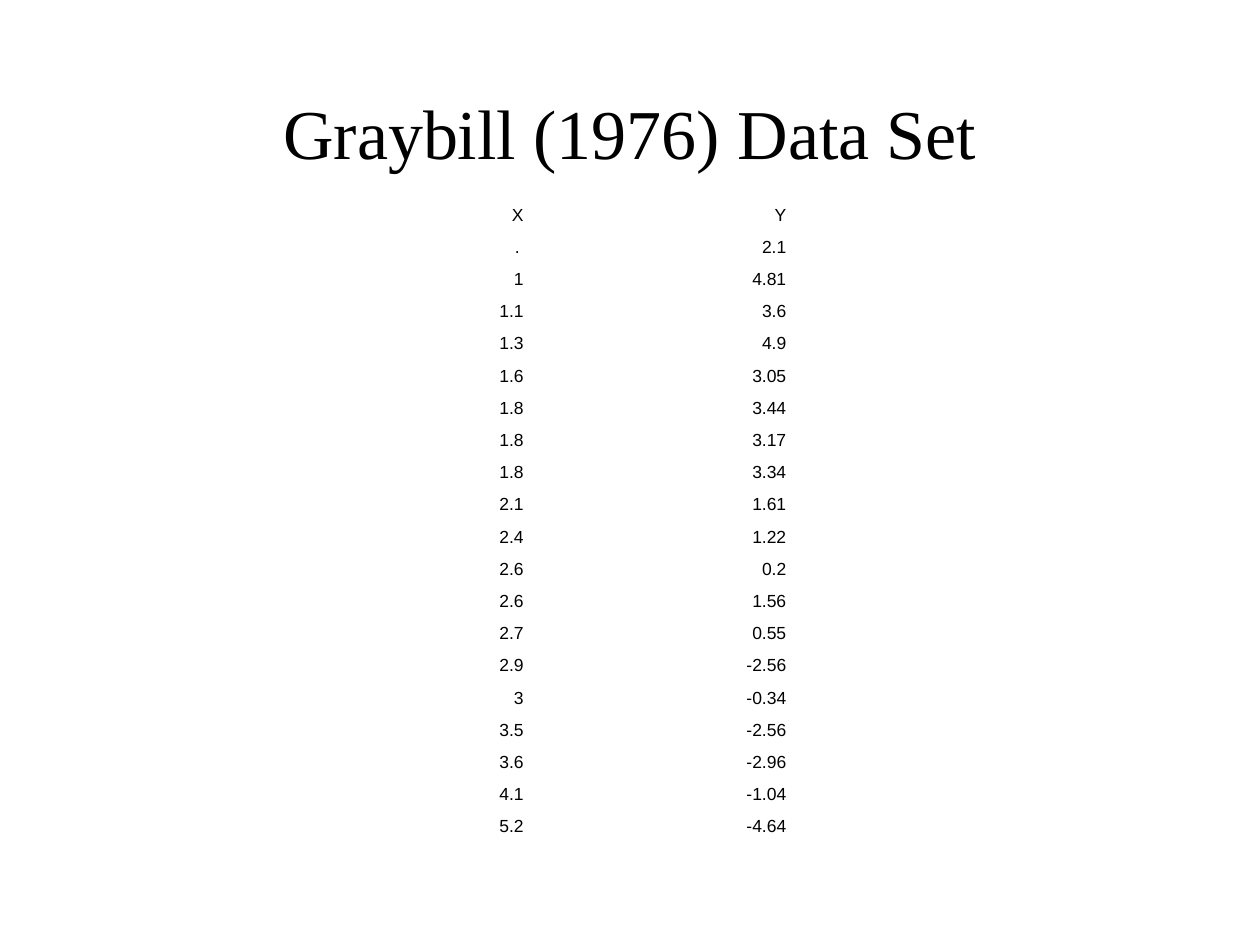
"""Build a slide with a title and the Graybill data table."""
from typing import NamedTuple

from pptx import Presentation
from pptx.dml.color import RGBColor
from pptx.enum.text import MSO_ANCHOR, PP_ALIGN
from pptx.util import Inches, Pt


class Style(NamedTuple):
    font: str
    size: int
    color: str
    align: PP_ALIGN
    anchor: MSO_ANCHOR


class Pair(NamedTuple):
    x: str
    y: str


HEAD = Style("Times New Roman", 40, "000000", PP_ALIGN.CENTER, MSO_ANCHOR.MIDDLE)
BODY = Style("Arial", 10, "000000", PP_ALIGN.RIGHT, MSO_ANCHOR.BOTTOM)
PAIRS = [
    Pair("X", "Y"),
    Pair(".", "2.1"),
    Pair("1", "4.81"),
    Pair("1.1", "3.6"),
    Pair("1.3", "4.9"),
    Pair("1.6", "3.05"),
    Pair("1.8", "3.44"),
    Pair("1.8", "3.17"),
    Pair("1.8", "3.34"),
    Pair("2.1", "1.61"),
    Pair("2.4", "1.22"),
    Pair("2.6", "0.2"),
    Pair("2.6", "1.56"),
    Pair("2.7", "0.55"),
    Pair("2.9", "-2.56"),
    Pair("3", "-0.34"),
    Pair("3.5", "-2.56"),
    Pair("3.6", "-2.96"),
    Pair("4.1", "-1.04"),
    Pair("5.2", "-4.64"),
]


def paint(font, color: str) -> None:
    font.color.rgb = RGBColor.from_string(color)


def write(frame, text: str, style: Style) -> None:
    para = frame.paragraphs[0]
    para.alignment = style.align
    run = para.add_run()
    run.text = text
    run.font.name = style.font
    run.font.size = Pt(style.size)
    paint(run.font, style.color)


def add_title(slide, text: str) -> None:
    title = slide.shapes.title
    title.left, title.top = Inches(0.75), Inches(0.67)
    title.width, title.height = Inches(8.5), Inches(0.75)
    title.text_frame.vertical_anchor = HEAD.anchor
    write(title.text_frame, text, HEAD)


def add_data(slide, pairs: list[Pair]) -> None:
    frame = slide.shapes.add_table(
        len(pairs), 2, Inches(2.17), Inches(1.58), Inches(4.17), Inches(5.33))
    table = frame.table
    table.first_row = table.horz_banding = False
    for row, pair in zip(table.rows, pairs):
        row.height = Inches(4.5 / len(pairs))
        for cell, text in zip(row.cells, pair):
            cell.fill.background()
            cell.vertical_anchor = BODY.anchor
            cell.margin_right = Inches(0.13 if text == "." else 0.1)
            write(cell.text_frame, text, BODY)
    frame.height = Inches(5.33)


def main() -> None:
    deck = Presentation()
    deck.slide_width, deck.slide_height = Inches(10), Inches(7.5)
    slide = deck.slides.add_slide(deck.slide_layouts[5])
    add_title(slide, "Graybill (1976) Data Set")
    add_data(slide, PAIRS)
    deck.save("out.pptx")


if __name__ == "__main__":
    main()
